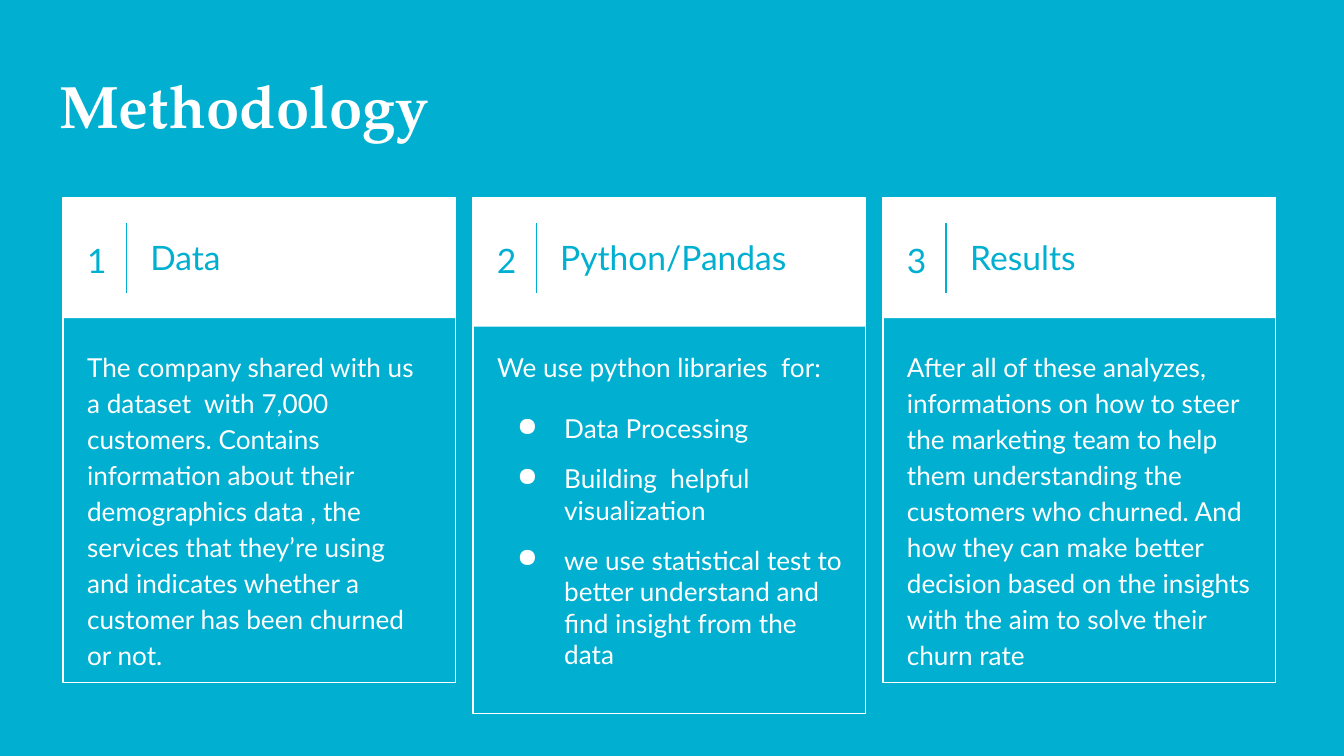
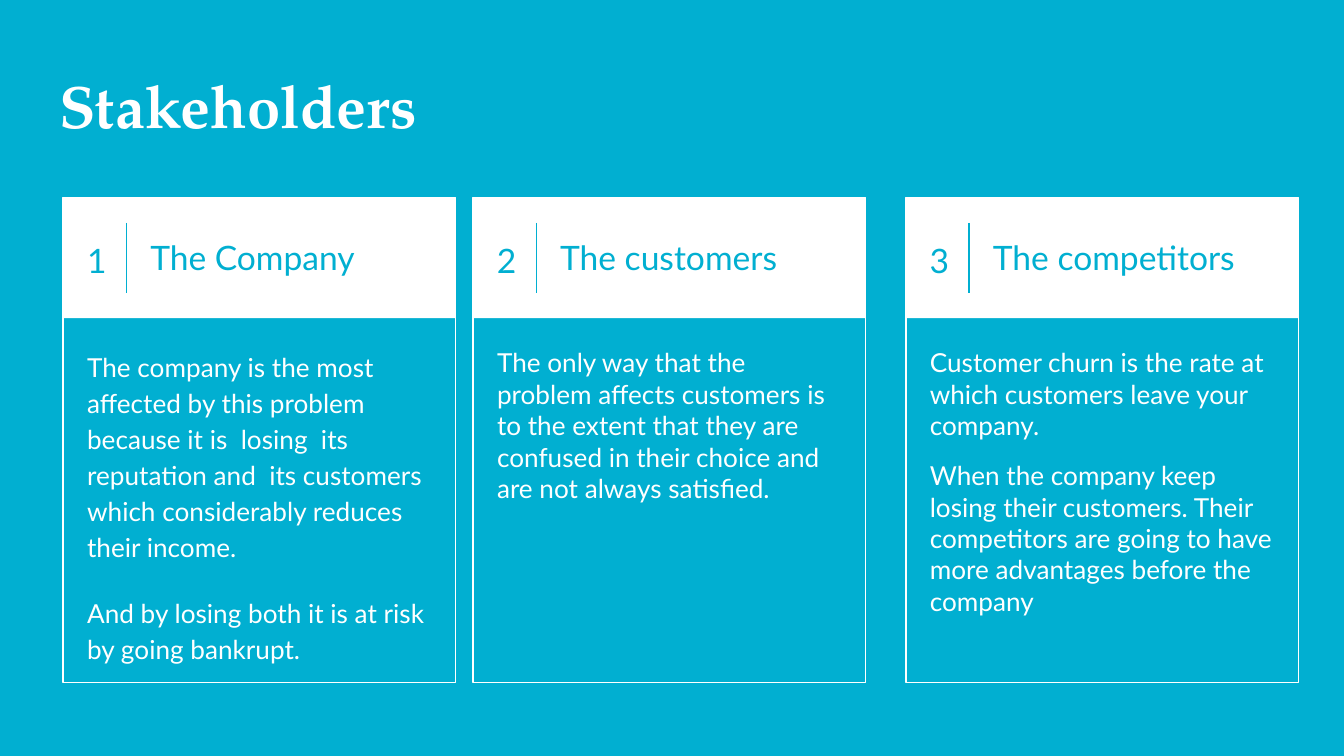
import dataclasses

import pptx
import pptx.dml.color
import pptx.enum.shapes
import pptx.enum.text
import pptx.oxml
import pptx.oxml.ns
import pptx.util

TEAL, WHITE = "01AFD1", "FFFFFF"
TITLE_FONT, TEXT_FONT = "TeX Gyre Pagella", "Lato"
WIDTH = pptx.util.Inches(10)
HEIGHT = WIDTH * 9 // 16
INSET = pptx.util.Inches(0.1)
FIRST_COLUMN, COLUMN_PITCH, CARD_WIDTH = 4.7, 30.5, 29.2
CARD_TOP, BODY_TOP = 26.1, 44.1


@dataclasses.dataclass
class Passage:
    text: str
    spacing: float = 1
    before: int = 0
    after: int = 0
    bulleted: bool = False


@dataclasses.dataclass
class Card:
    heading: str
    passages: list
    height: float = 64.2
    header_height: float = 16
    body_height: float = 46.2
    nudge: float = 0


def color(hex_code):
    return pptx.dml.color.RGBColor.from_string(hex_code)


def across(percent):
    return round(WIDTH * percent / 100)


def down(percent):
    return round(HEIGHT * percent / 100)


def area(left, top, width, height):
    return across(left), down(top), across(width), down(height)


def set_frame(frame, anchor):
    frame.word_wrap = True
    frame.auto_size = pptx.enum.text.MSO_AUTO_SIZE.NONE
    frame.vertical_anchor = anchor
    frame.margin_left = frame.margin_right = INSET
    frame.margin_top = frame.margin_bottom = INSET


def add_run(paragraph, text, font, size, hex_code, bold=False):
    run = paragraph.add_run()
    run.text = text
    run.font.name = font
    run.font.size = pptx.util.Pt(size)
    run.font.bold = bold
    run.font.color.rgb = color(hex_code)


def add_bullet(paragraph):
    properties = paragraph._p.get_or_add_pPr()
    properties.set("marL", str(pptx.util.Inches(0.5)))
    properties.set("indent", str(pptx.util.Inches(-0.35)))
    namespace = pptx.oxml.ns.nsdecls("a")
    for markup in (
        f'<a:buClr {namespace}><a:srgbClr val="{WHITE}"/></a:buClr>',
        f'<a:buChar {namespace} char="●"/>',
    ):
        properties.append(pptx.oxml.parse_xml(markup))


def add_title(slide, text):
    title = slide.shapes.title
    title.left, title.top, title.width, title.height = area(3.4, 7.3, 93.2, 12.6)
    set_frame(title.text_frame, pptx.enum.text.MSO_ANCHOR.TOP)
    paragraph = title.text_frame.paragraphs[0]
    paragraph.alignment = pptx.enum.text.PP_ALIGN.LEFT
    add_run(paragraph, text, TITLE_FONT, 32, WHITE, bold=True)


def add_panel(group, left, height):
    panel = group.shapes.add_shape(
        pptx.enum.shapes.MSO_SHAPE.RECTANGLE,
        *area(left, CARD_TOP, CARD_WIDTH, height),
    )
    panel.shadow.inherit = False
    return panel


def add_panels(slide, left, card):
    group = slide.shapes.add_group_shape()
    outline = add_panel(group, left, card.height)
    outline.fill.background()
    outline.line.color.rgb = color(WHITE)
    outline.line.width = pptx.util.Pt(0.75)
    header = add_panel(group, left, card.header_height)
    header.fill.solid()
    header.fill.fore_color.rgb = color(WHITE)
    header.line.fill.background()


def add_label(slide, left, width, text, alignment, spacing=1):
    label = slide.shapes.add_textbox(*area(left, 26, width, 16))
    set_frame(label.text_frame, pptx.enum.text.MSO_ANCHOR.MIDDLE)
    paragraph = label.text_frame.paragraphs[0]
    paragraph.alignment = alignment
    paragraph.line_spacing = spacing
    add_run(paragraph, text, TEXT_FONT, 18, TEAL)


def add_divider(slide, left):
    divider = slide.shapes.add_connector(
        pptx.enum.shapes.MSO_CONNECTOR.STRAIGHT,
        across(left), down(29.5), across(left), down(38.8),
    )
    divider.line.color.rgb = color(TEAL)
    divider.line.width = pptx.util.Pt(0.75)
    divider._element.spPr.append(
        pptx.oxml.parse_xml(f'<a:effectLst {pptx.oxml.ns.nsdecls("a")}/>')
    )


def add_body(slide, left, card):
    body = slide.shapes.add_textbox(*area(left, BODY_TOP, 27.7, card.body_height))
    frame = body.text_frame
    set_frame(frame, pptx.enum.text.MSO_ANCHOR.TOP)
    for index, passage in enumerate(card.passages):
        paragraph = frame.add_paragraph() if index else frame.paragraphs[0]
        paragraph.line_spacing = passage.spacing
        paragraph.space_before = pptx.util.Pt(passage.before)
        paragraph.space_after = pptx.util.Pt(passage.after)
        if passage.bulleted:
            add_bullet(paragraph)
        add_run(paragraph, passage.text, TEXT_FONT, 14, WHITE)


def add_card(slide, column, card):
    left = FIRST_COLUMN + column * COLUMN_PITCH + card.nudge
    align = pptx.enum.text.PP_ALIGN
    add_panels(slide, left, card)
    add_label(slide, left + 0.6, 3.8, str(column + 1), align.CENTER, 1.15)
    add_divider(slide, left + 4.7)
    add_label(slide, left + 5.5, 23, card.heading, align.LEFT)
    add_body(slide, left + 0.8, card)


def add_card_slide(deck, title, cards):
    slide = deck.slides.add_slide(deck.slide_layouts.get_by_name("Title Only"))
    add_title(slide, title)
    for column, card in enumerate(cards):
        add_card(slide, column, card)


METHODOLOGY = [
    Card("Data", [
        Passage(
            "The company shared with us a dataset  with 7,000 customers. "
            "Contains information about their demographics data , the services "
            "that they’re using and indicates whether a customer has been "
            "churned or not.", spacing=1.15, after=16),
    ]),
    Card("Python/Pandas", [
        Passage("We use python libraries  for:", spacing=1.15),
        Passage("Data Processing", before=16, bulleted=True),
        Passage("Building  helpful visualization", before=10, bulleted=True),
        Passage(
            "we use statistical test to better understand and find insight "
            "from the data", before=10, after=10, bulleted=True),
    ], height=68.3, header_height=17.1, body_height=49.4),
    Card("Results", [
        Passage(
            "After all of these analyzes, informations on how to steer the "
            "marketing team to help them understanding the customers who "
            "churned. And how they can make better decision based on the "
            "insights with the aim to solve their churn rate",
            spacing=1.15, after=16),
    ]),
]

STAKEHOLDERS = [
    Card("The Company", [
        Passage(
            "The company is the most affected by this problem because it is  "
            "losing  its reputation and  its customers which considerably "
            "reduces their income.", spacing=1.15),
        Passage(
            "And by losing both it is at risk by going bankrupt.",
            spacing=1.15, before=16, after=16),
    ]),
    Card("The customers", [
        Passage(
            "The only way that the problem affects customers is to the extent "
            "that they are confused in their choice and are not always "
            "satisfied.", after=10),
    ]),
    Card("The competitors", [
        Passage(
            "Customer churn is the rate at which customers leave your company."),
        Passage(
            "When the company keep losing their customers. Their competitors "
            "are going to have more advantages before the company",
            before=10, after=10),
    ], body_height=39.5, nudge=1.7),
]


def main():
    deck = pptx.Presentation()
    deck.slide_width, deck.slide_height = WIDTH, HEIGHT
    backdrop = deck.slide_master.background.fill
    backdrop.solid()
    backdrop.fore_color.rgb = color(TEAL)
    add_card_slide(deck, "Methodology", METHODOLOGY)
    add_card_slide(deck, "Stakeholders", STAKEHOLDERS)
    deck.save("out.pptx")


if __name__ == "__main__":
    main()
